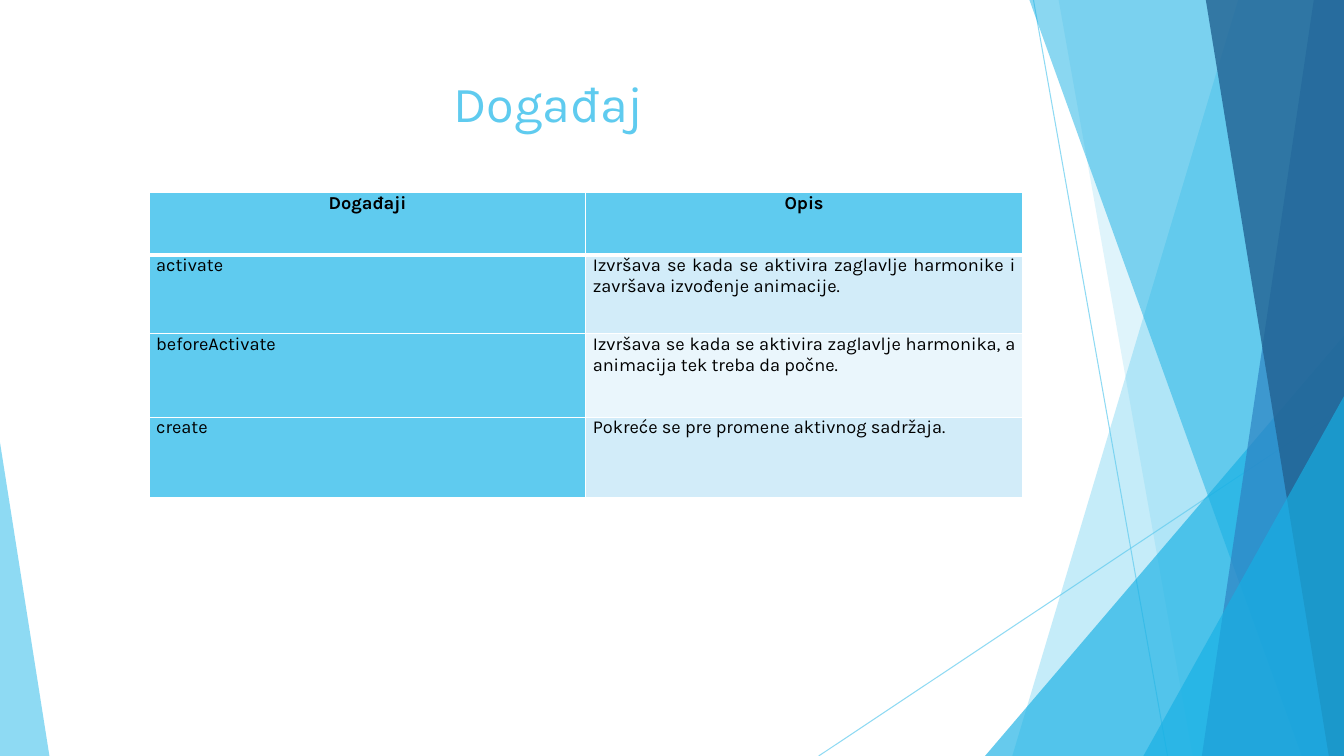
"""Build a slide with a table of accordion events beside a faceted border."""
from dataclasses import dataclass

from lxml import etree
from pptx import Presentation
from pptx.dml.color import RGBColor
from pptx.enum.shapes import MSO_CONNECTOR, MSO_SHAPE
from pptx.enum.text import MSO_ANCHOR, PP_ALIGN
from pptx.oxml.ns import qn
from pptx.util import Inches, Pt

CENTER, JUSTIFY = PP_ALIGN.CENTER, PP_ALIGN.JUSTIFY
TOP = MSO_ANCHOR.TOP
STRAIGHT = MSO_CONNECTOR.STRAIGHT
TRIANGLE = MSO_SHAPE.ISOSCELES_TRIANGLE


@dataclass(frozen=True)
class Theme:
    """Hold the colours and type sizes of the slide."""
    font: str = "Karla"
    title_size: float = 36
    table_size: float = 13
    sky: str = "5FCBEF"
    cyan: str = "17B0E4"
    blue: str = "2E83C3"
    navy: str = "226292"
    text: str = "000000"
    white: str = "FFFFFF"
    bands: tuple = ("D2ECF9", "EAF6FC")


THEME = Theme()
WIDTH, HEIGHT = 13.33, 7.5

TITLE = "Događaj"
TITLE_BOX = (0.74, 0.67, 9.4, 1.44)
EVENTS = [
    ("Događaji", "Opis"),
    ("activate", "Izvršava se kada se aktivira zaglavlje harmonike i završava izvođenje animacije."),
    ("beforeActivate", "Izvršava se kada se aktivira zaglavlje harmonika, a animacija tek treba da počne."),
    ("create", "Pokreće se pre promene aktivnog sadržaja."),
]
TABLE_LEFT, TABLE_TOP, TABLE_WIDTH = 1.48, 1.91, 8.66
ROW_HEIGHTS = (0.62, 0.78, 0.83, 0.8)

RAYS = [((10.25, 0), (11.58, HEIGHT)), ((WIDTH, 4.03), (8.12, HEIGHT))]
FACETS = [
    ("band", 12.28, 10.04, THEME.sky, 36),
    ("band", 10.5, 11.83, THEME.sky, 20),
    ("right corner", 9.77, 3.33, THEME.cyan, 66),
    ("band", 10.21, 12.91, THEME.cyan, 50),
    ("band", 13.03, 11.92, THEME.blue, 70),
    ("band", 11.96, 13.18, THEME.navy, 80),
    ("right corner", 11.34, 3.93, THEME.cyan, 66),
    ("left corner", 0.49, 4.39, THEME.sky, 70),
]


def set_alpha(properties, percent):
    color = next(properties.iter(qn("a:srgbClr")))
    etree.SubElement(color, qn("a:alpha"), val=str(percent * 1000))


def add_ray(slide, start, end):
    ray = slide.shapes.add_connector(STRAIGHT, *map(Inches, start + end))
    ray.line.color.rgb = RGBColor.from_string(THEME.sky)
    ray.line.width = Pt(0.75)
    properties = ray._element.spPr
    set_alpha(properties, 70)
    etree.SubElement(properties, qn("a:effectLst"))


def add_band(slide, top_x, bottom_x):
    corners = [(top_x, 0), (WIDTH, 0), (WIDTH, HEIGHT), (bottom_x, HEIGHT)]
    points = [(Inches(x), Inches(y)) for x, y in corners]
    builder = slide.shapes.build_freeform(*points[0])
    builder.add_line_segments(points[1:], close=True)
    return builder.convert_to_shape()


def add_corner(slide, left, right, top, apex):
    box = (left, top, right - left, HEIGHT - top)
    shape = slide.shapes.add_shape(TRIANGLE, *map(Inches, box))
    shape.adjustments[0] = apex
    return shape


def add_facet(slide, kind, x, second, color, alpha):
    if kind == "band":
        shape = add_band(slide, x, second)
    elif kind == "right corner":
        shape = add_corner(slide, x, WIDTH, second, 1)
    else:
        shape = add_corner(slide, 0, x, second, 0)
    shape.shadow.inherit = False
    shape.fill.solid()
    shape.fill.fore_color.rgb = RGBColor.from_string(color)
    shape.line.fill.background()
    set_alpha(shape._element.spPr, alpha)


def write(paragraph, text, size, color, align, bold=False):
    paragraph.alignment = align
    run = paragraph.add_run()
    run.text = text
    run.font.name = THEME.font
    run.font.size = Pt(size)
    run.font.bold = bold
    run.font.color.rgb = RGBColor.from_string(color)


def add_title(slide):
    title = slide.shapes.title
    title.left, title.top, title.width, title.height = map(Inches, TITLE_BOX)
    title.text_frame.vertical_anchor = TOP
    title.text_frame.word_wrap = True
    write(title.text_frame.paragraphs[0], TITLE, THEME.title_size, THEME.sky, CENTER)


def set_borders(cell, row):
    properties = cell._tc.get_or_add_tcPr()
    widths = {"L": 1, "R": 1, "T": 3 if row == 1 else 1, "B": 3 if row == 0 else 1}
    for side, width in widths.items():
        border = etree.SubElement(properties, qn(f"a:ln{side}"), w=str(Pt(width)))
        fill = etree.SubElement(border, qn("a:solidFill"))
        etree.SubElement(fill, qn("a:srgbClr"), val=THEME.white)


def format_cell(cell, text, row, column):
    set_borders(cell, row)
    shaded = row > 0 and column > 0
    color = THEME.bands[(row - 1) % 2] if shaded else THEME.sky
    cell.fill.solid()
    cell.fill.fore_color.rgb = RGBColor.from_string(color)
    cell.margin_left = cell.margin_right = Inches(0.07)
    cell.margin_top = cell.margin_bottom = 0
    paragraph = cell.text_frame.paragraphs[0]
    paragraph.space_after = Pt(6)
    header = row == 0
    write(paragraph, text, THEME.table_size, THEME.text, CENTER if header else JUSTIFY, header)


def add_events(slide):
    box = (TABLE_LEFT, TABLE_TOP, TABLE_WIDTH, sum(ROW_HEIGHTS))
    columns = len(EVENTS[0])
    table = slide.shapes.add_table(len(EVENTS), columns, *map(Inches, box)).table
    table.horz_banding = False
    for column in table.columns:
        column.width = Inches(TABLE_WIDTH / columns)
    for row, texts in enumerate(EVENTS):
        table.rows[row].height = Inches(ROW_HEIGHTS[row])
        for column, text in enumerate(texts):
            format_cell(table.cell(row, column), text, row, column)


def main():
    presentation = Presentation()
    presentation.slide_width, presentation.slide_height = Inches(WIDTH), Inches(HEIGHT)
    slide = presentation.slides.add_slide(presentation.slide_layouts[5])
    for start, end in RAYS:
        add_ray(slide, start, end)
    for facet in FACETS:
        add_facet(slide, *facet)
    add_title(slide)
    add_events(slide)
    presentation.save("out.pptx")


if __name__ == "__main__":
    main()
